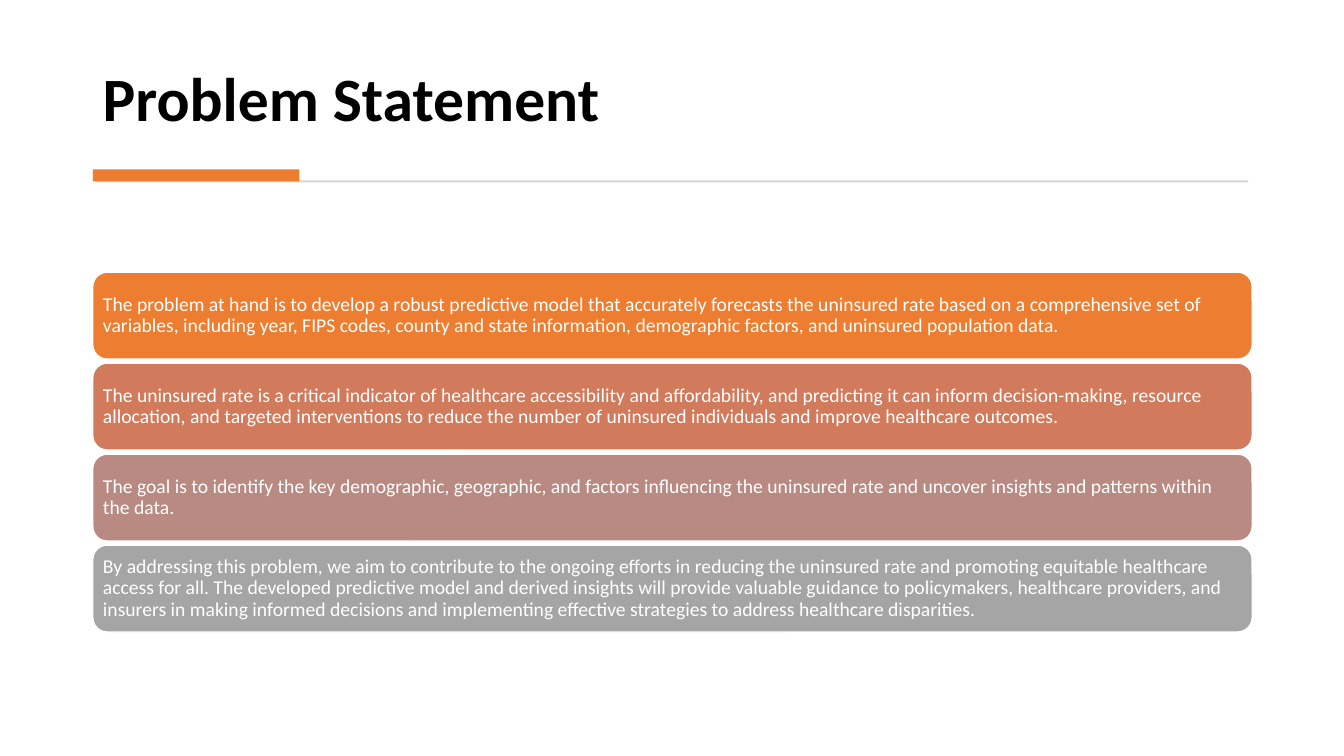
from pptx import Presentation
from pptx.dml.color import RGBColor
from pptx.enum.shapes import MSO_SHAPE as SHAPE
from pptx.enum.text import MSO_ANCHOR as ANCHOR
from pptx.util import Inches, Pt

LEFT, WIDTH = 0.92, 11.5
CARDS = [
    ("ED7D31", "The problem at hand is to develop a robust predictive model that accurately "
     "forecasts the uninsured rate based on a comprehensive set of variables, including year, "
     "FIPS codes, county and state information, demographic factors, and uninsured population "
     "data."),
    ("D17B5C", "The uninsured rate is a critical indicator of healthcare accessibility and "
     "affordability, and predicting it can inform decision-making, resource allocation, and "
     "targeted interventions to reduce the number of uninsured individuals and improve "
     "healthcare outcomes."),
    ("B98A82", "The goal is to identify the key demographic, geographic, and factors "
     "influencing the uninsured rate and uncover insights and patterns within the data."),
    ("A5A5A5", "By addressing this problem, we aim to contribute to the ongoing efforts in "
     "reducing the uninsured rate and promoting equitable healthcare access for all. The "
     "developed predictive model and derived insights will provide valuable guidance to "
     "policymakers, healthcare providers, and insurers in making informed decisions and "
     "implementing effective strategies to address healthcare disparities."),
]


def rgb(color):
    return RGBColor.from_string(color)


def add_box(slide, kind, x, y, w, h, fill):
    """Add a filled shape without outline or shadow."""
    sp = slide.shapes.add_shape(kind, Inches(x), Inches(y), Inches(w), Inches(h))
    sp.shadow.inherit = False
    sp.fill.solid()
    sp.fill.fore_color.rgb = rgb(fill)
    sp.line.fill.background()
    return sp


def write(sp, text, size, color, anchor, bold=False):
    """Fill a shape with one left-aligned paragraph."""
    tf = sp.text_frame
    tf.word_wrap = True
    tf.vertical_anchor = anchor
    p = tf.paragraphs[0]
    p.alignment = 1
    p.line_spacing = 0.9
    r = p.add_run()
    r.text = text
    r.font.name = "Calibri"
    r.font.size = Pt(size)
    r.font.bold = bold
    r.font.color.rgb = rgb(color)
    return tf


def add_header(slide, x, y, w, h):
    """Add the title and, at the foot of the box, its rule with an accent bar."""
    sp = slide.shapes.add_textbox(Inches(x), Inches(y), Inches(w), Inches(1.11))
    write(sp, "Problem Statement", 44, "000000", ANCHOR.BOTTOM, bold=True)
    add_box(slide, SHAPE.RECTANGLE, x + 0.03, y + h - 0.02, w - 0.07, 0.02, "D5D5D5")
    add_box(slide, SHAPE.RECTANGLE, x, y + h - 0.13, 2.05, 0.12, "ED7D31")


def add_cards(slide, x, y, w, h, gap=0.04):
    """Stack the statement cards evenly in the box."""
    card_h = (h - gap * (len(CARDS) - 1)) / len(CARDS)
    for i, (fill, text) in enumerate(CARDS):
        sp = add_box(slide, SHAPE.ROUNDED_RECTANGLE, x, y + i * (card_h + gap), w, card_h, fill)
        sp.line.color.rgb = rgb("FFFFFF")
        sp.line.width = Pt(1)
        tf = write(sp, text, 14, "FFFFFF", ANCHOR.MIDDLE)
        tf.margin_left = tf.margin_right = Inches(0.06)
        tf.margin_top = tf.margin_bottom = Inches(0.06)


def main():
    prs = Presentation()
    prs.slide_width, prs.slide_height = Inches(13.33), Inches(7.5)
    slide = prs.slides.add_slide(prs.slide_layouts[6])
    add_header(slide, LEFT, 0.28, WIDTH, 1.53)
    add_cards(slide, LEFT, 2.7, WIDTH, 3.57)
    prs.save("out.pptx")


if __name__ == "__main__":
    main()
